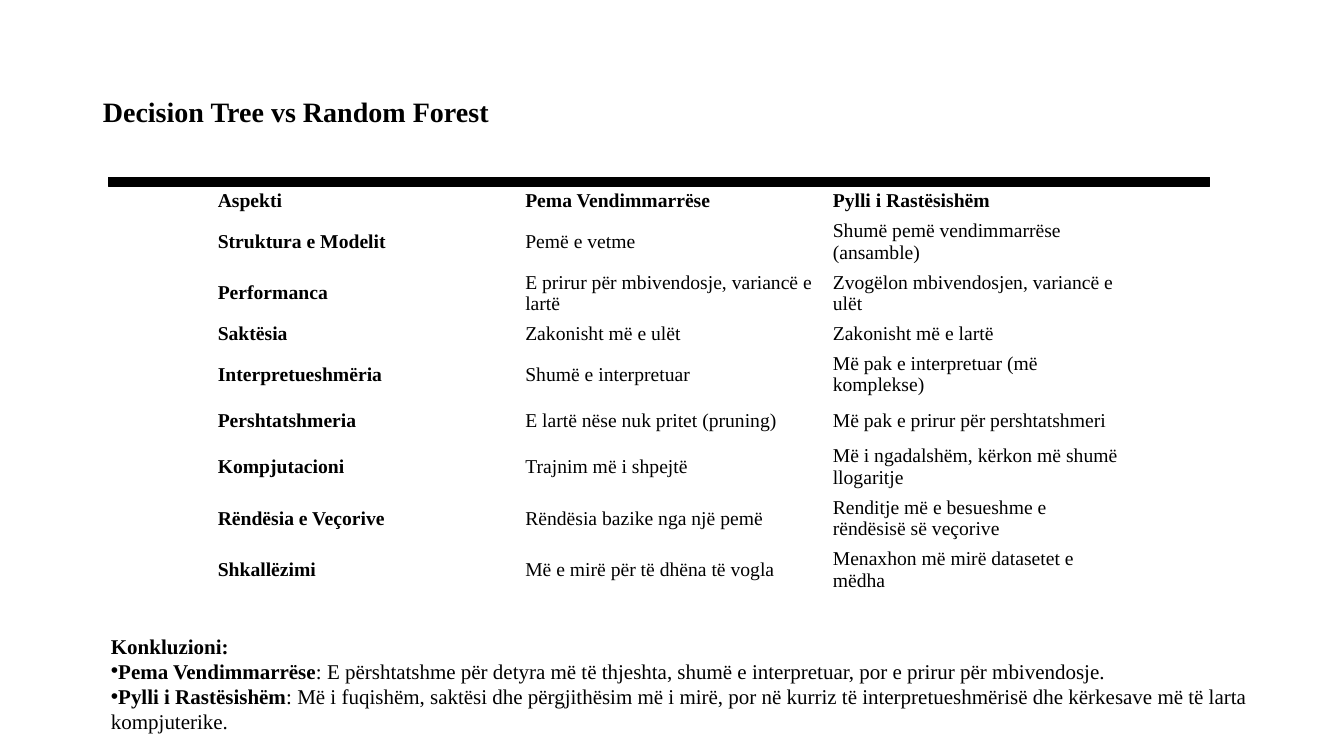
from lxml.etree import SubElement
from pptx import Presentation
from pptx.dml.color import RGBColor
from pptx.enum.shapes import MSO_SHAPE as Preset
from pptx.enum.text import MSO_ANCHOR as Anchor, MSO_AUTO_SIZE as AutoSize, PP_ALIGN as Align
from pptx.oxml.ns import qn
from pptx.util import Inches, Pt

COLORS = {"ink": "000000", "paper": "FFFFFF"}

COMPARISON = [
    ("Aspekti", "Pema Vendimmarrëse", "Pylli i Rastësishëm"),
    ("Struktura e Modelit", "Pemë e vetme", "Shumë pemë vendimmarrëse (ansamble)"),
    ("Performanca", "E prirur për mbivendosje, variancë e lartë",
     "Zvogëlon mbivendosjen, variancë e ulët"),
    ("Saktësia", "Zakonisht më e ulët", "Zakonisht më e lartë"),
    ("Interpretueshmëria", "Shumë e interpretuar", "Më pak e interpretuar (më komplekse)"),
    ("Pershtatshmeria", "E lartë nëse nuk pritet (pruning)",
     "Më pak e prirur për pershtatshmeri"),
    ("Kompjutacioni", "Trajnim më i shpejtë", "Më i ngadalshëm, kërkon më shumë llogaritje"),
    ("Rëndësia e Veçorive", "Rëndësia bazike nga një pemë",
     "Renditje më e besueshme e rëndësisë së veçorive"),
    ("Shkallëzimi", "Më e mirë për të dhëna të vogla", "Menaxhon më mirë datasetet e mëdha"),
]
SHORT_ROWS = (0, 3)

CONCLUSIONS = [
    ("Pema Vendimmarrëse",
     ": E përshtatshme për detyra më të thjeshta, shumë e interpretuar, "
     "por e prirur për mbivendosje."),
    ("Pylli i Rastësishëm",
     ": Më i fuqishëm, saktësi dhe përgjithësim më i mirë, por në kurriz të "
     "interpretueshmërisë dhe kërkesave më të larta kompjuterike."),
]


def apply(target, formats):
    for name, value in formats.items():
        setattr(target, name, value)


def box(left, top, width, height):
    return dict(left=Inches(left), top=Inches(top), width=Inches(width), height=Inches(height))


class ComparisonSlide:
    font_name = "Times New Roman"
    frame_format = {"word_wrap": True, "auto_size": AutoSize.NONE}

    def __init__(self, deck):
        self.slide = deck.slides.add_slide(deck.slide_layouts[1])
        self.paint(self.slide.background.fill, "paper")

    def paint(self, fill, color):
        fill.solid()
        fill.fore_color.rgb = RGBColor.from_string(COLORS[color])

    def add_text(self, paragraph, text, size, bold=False):
        run = paragraph.add_run()
        run.text = text
        apply(run.font, {"name": self.font_name, "size": Pt(size), "bold": bold})
        run.font.color.rgb = RGBColor.from_string(COLORS["ink"])

    def title(self, text, place):
        heading = self.slide.shapes.title
        apply(heading, place)
        apply(heading.text_frame, {**self.frame_format, "vertical_anchor": Anchor.MIDDLE})
        paragraph = heading.text_frame.paragraphs[0]
        apply(paragraph, {"alignment": Align.LEFT, "line_spacing": 0.9})
        self.add_text(paragraph, text, 20, True)

    def rule(self, place):
        bar = self.slide.shapes.add_shape(Preset.RECTANGLE, **place)
        bar.shadow.inherit = False
        self.paint(bar.fill, "ink")
        self.paint(bar.line.fill, "ink")
        bar.line.width = Pt(0.75)

    def table(self, rows, place):
        grid = self.slide.shapes.add_table(len(rows), len(rows[0]), **place).table
        apply(grid, {"first_row": False, "horz_banding": False})
        for r, texts in enumerate(rows):
            grid.rows[r].height = Inches(0.23 if r in SHORT_ROWS else 0.41)
            for c, text in enumerate(texts):
                cell = grid.cell(r, c)
                cell.fill.background()
                apply(cell, {"vertical_anchor": Anchor.MIDDLE,
                             "margin_left": Inches(0.09), "margin_right": Inches(0.09),
                             "margin_top": Inches(0.04), "margin_bottom": Inches(0.04)})
                self.add_text(cell.text_frame.paragraphs[0], text, 14, r == 0 or c == 0)

    def conclusion(self, heading, points, place):
        """Fill the body placeholder with a bold heading and flush bullets."""
        body = self.slide.placeholders[1]
        apply(body, place)
        frame = body.text_frame
        apply(frame, {**self.frame_format, "vertical_anchor": Anchor.TOP})
        for i, (term, detail) in enumerate([(heading, ""), *points]):
            paragraph = frame.add_paragraph() if i else frame.paragraphs[0]
            apply(paragraph, {"alignment": Align.LEFT, "line_spacing": 1.0,
                              "space_before": Pt(0), "space_after": Pt(0)})
            properties = paragraph._p.get_or_add_pPr()
            properties.set("marL", "0")
            properties.set("indent", "0")
            if detail:
                SubElement(properties, qn("a:buFont"), typeface="Arial")
                SubElement(properties, qn("a:buChar"), char="•")
            else:
                SubElement(properties, qn("a:buNone"))
            self.add_text(paragraph, term, 15, True)
            if detail:
                self.add_text(paragraph, detail, 15)


def main():
    deck = Presentation()
    apply(deck, {"slide_width": Inches(13.33), "slide_height": Inches(7.5)})
    page = ComparisonSlide(deck)
    page.title("Decision Tree vs Random Forest", box(0.92, 0.4, 11.5, 1.45))
    page.table(COMPARISON, box(2.07, 1.85, 9.15, 3.33))
    page.rule(box(1.08, 1.76, 10.92, 0.09))
    page.conclusion("Konkluzioni:", CONCLUSIONS, box(1, 6.23, 11.87, 1.36))
    deck.save("out.pptx")


if __name__ == "__main__":
    main()
